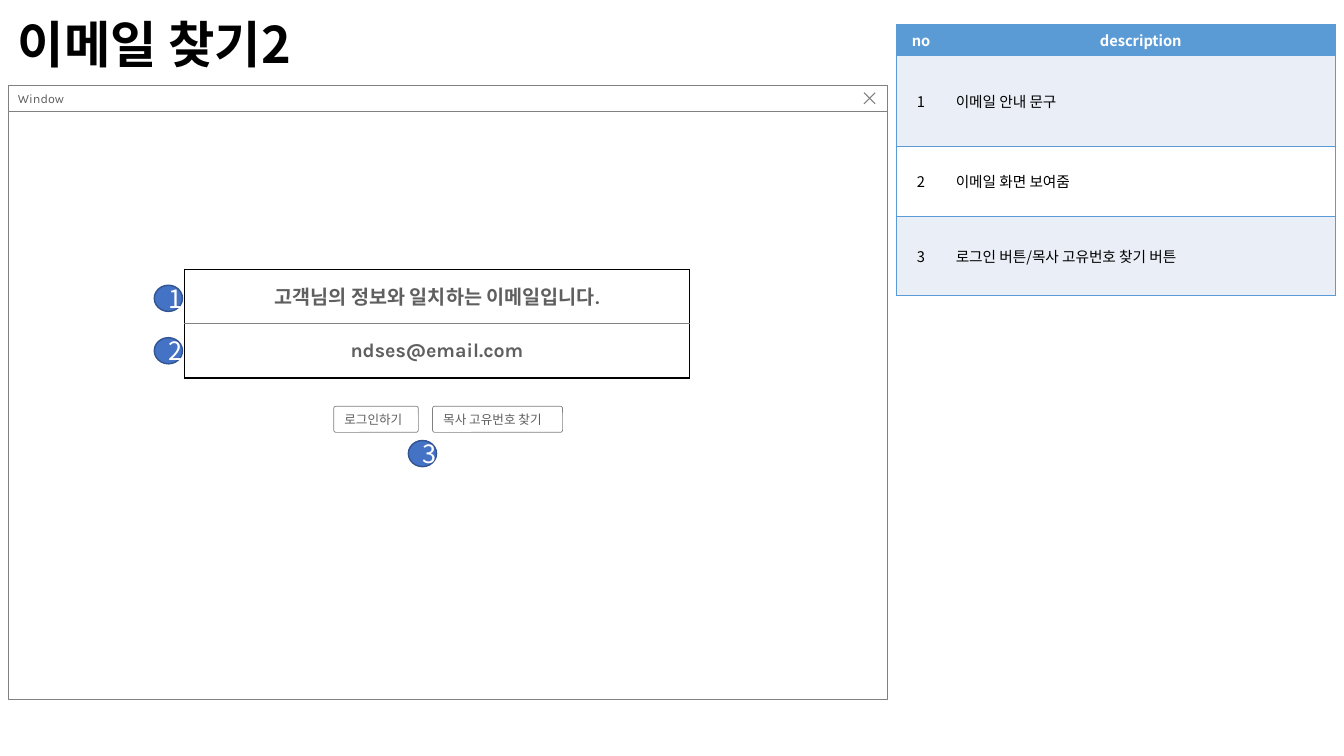
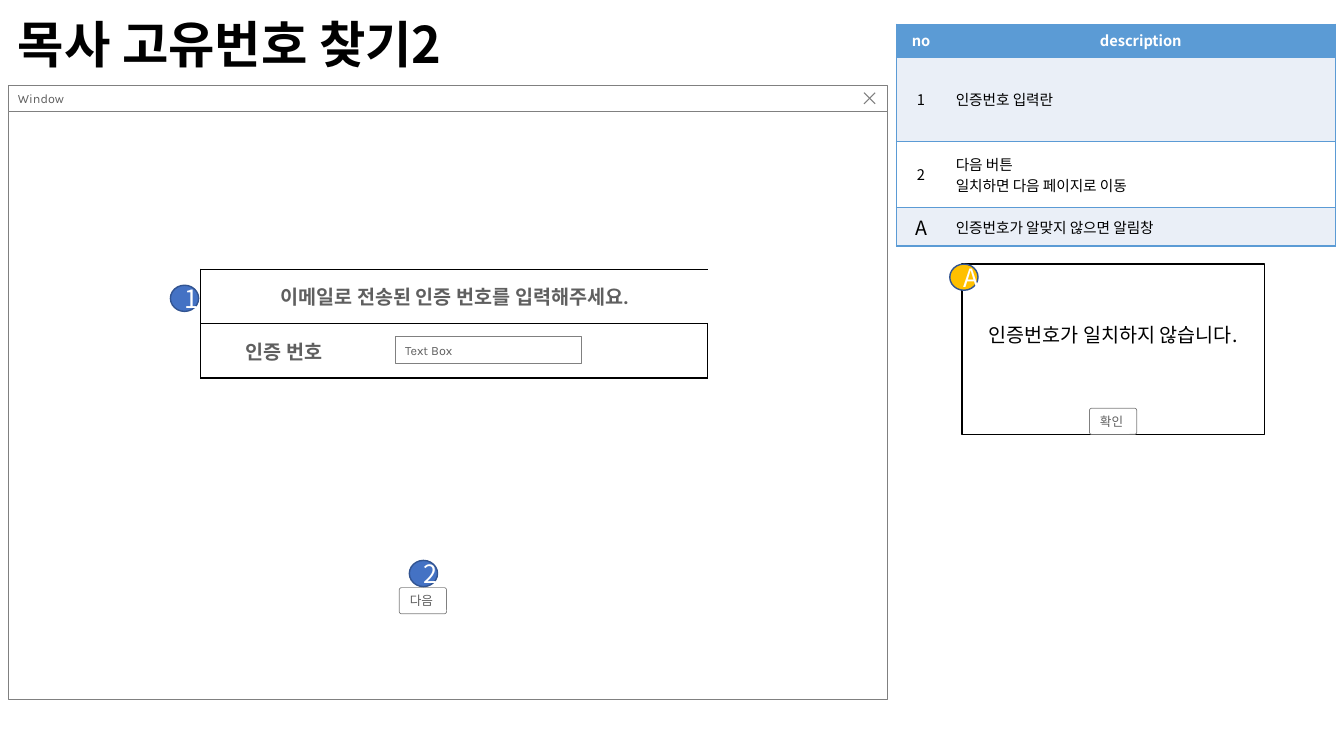
from lxml.etree import SubElement
from pptx import Presentation
from pptx.dml.color import RGBColor
from pptx.enum.shapes import MSO_CONNECTOR, MSO_SHAPE
from pptx.enum.text import MSO_ANCHOR, PP_ALIGN
from pptx.oxml import parse_xml
from pptx.oxml.ns import nsdecls, qn
from pptx.util import Inches, Pt

KOREAN, WIREFRAME = "Noto Sans CJK KR", "Karla"
BLACK, WHITE, INK, GREY = "000000", "FFFFFF", "5F5F5F", "808080"
HEADER, BAND = "5B9BD5", "EAEFF7"
BLUE, AMBER, BADGE_EDGE = "4472C4", "FFC000", "325491"
TITLE = (0.08, 0.1, 7.68, 0.73)
WINDOW = (0.08, 0.85, 8.72, 6.09)
DESCRIPTION = (8.89, 0.24)
BAR_HEIGHT = CONTROL_HEIGHT = 0.26
FORM_TOP, FORM_ROW = 2.67, 0.54


def color(hex_string):
    return RGBColor.from_string(hex_string)


def write(frame, text, size, ink, font=KOREAN, bold=False, align=PP_ALIGN.LEFT):
    for index, line in enumerate(text.split("\n")):
        paragraph = frame.paragraphs[0] if index == 0 else frame.add_paragraph()
        paragraph.alignment = align
        run = paragraph.add_run()
        run.text = line
        run.font.size = Pt(size)
        run.font.bold = bold
        run.font.name = font
        run.font.color.rgb = color(ink)
        SubElement(run.font._element, qn("a:ea")).set("typeface", KOREAN)


def add_box(shapes, box, kind=MSO_SHAPE.RECTANGLE, fill=WHITE, edge=GREY, weight=0.5,
            insets=(0.1, 0.05, 0.1, 0.05)):
    shape = shapes.add_shape(kind, *map(Inches, box))
    shape.shadow.inherit = False
    shape.fill.solid()
    shape.fill.fore_color.rgb = color(fill)
    shape.line.color.rgb = color(edge)
    shape.line.width = Pt(weight)
    frame = shape.text_frame
    frame.word_wrap = True
    frame.vertical_anchor = MSO_ANCHOR.MIDDLE
    frame.margin_left, frame.margin_top, frame.margin_right, frame.margin_bottom = map(Inches, insets)
    return shape


def add_line(shapes, start, end):
    line = shapes.add_connector(MSO_CONNECTOR.STRAIGHT, *map(Inches, start + end))
    line.line.color.rgb = color(GREY)
    line.line.width = Pt(0.75)
    SubElement(line._element.spPr, qn("a:effectLst"))


def add_title(slide, text):
    title = slide.shapes.add_textbox(*map(Inches, TITLE)).text_frame
    title.word_wrap = True
    title.vertical_anchor = MSO_ANCHOR.MIDDLE
    write(title, text, 36, BLACK, bold=True)
    title.paragraphs[0].line_spacing = 0.9


def add_window(slide, box):
    left, top, width, height = box
    parts = slide.shapes.add_group_shape().shapes
    add_box(parts, (left, top + BAR_HEIGHT, width, height - BAR_HEIGHT))
    bar = add_box(parts, (left, top, width, BAR_HEIGHT), insets=(0.1, 0.05, 0.25, 0.05))
    write(bar.text_frame, "Window", 9, INK, WIREFRAME)
    x1, x2 = left + width - 0.23, left + width - 0.12
    y1, y2 = top + 0.07, top + 0.18
    add_line(parts, (x1, y1), (x2, y2))
    add_line(parts, (x2, y1), (x1, y2))


def set_borders(cell, borders):
    properties = cell._tc.get_or_add_tcPr()
    for index, side in enumerate("LRTB"):
        if side in borders:
            hex_string, weight = borders[side]
            paint = f'<a:solidFill><a:srgbClr val="{hex_string}"/></a:solidFill>'
        else:
            weight, paint = 0, "<a:noFill/>"
        xml = f'<a:ln{side} {nsdecls("a")} w="{int(Pt(weight))}">{paint}</a:ln{side}>'
        properties.insert(index, parse_xml(xml))


def add_grid(slide, origin, widths, heights, fills, edge, divider):
    size = sum(widths), sum(heights)
    grid = slide.shapes.add_table(len(heights), len(widths), *map(Inches, origin + size)).table
    for column, width in zip(grid.columns, widths):
        column.width = Inches(width)
    for r, (row, height, fill) in enumerate(zip(grid.rows, heights, fills)):
        row.height = Inches(height)
        for c, cell in enumerate(row.cells):
            cell.fill.solid()
            cell.fill.fore_color.rgb = color(fill)
            cell.vertical_anchor = MSO_ANCHOR.MIDDLE
            borders = {"T": divider if r else edge,
                       "B": divider if r < len(heights) - 1 else edge}
            if c == 0:
                borders["L"] = edge
            if c == len(widths) - 1:
                borders["R"] = edge
            set_borders(cell, borders)
    return grid


def add_description(slide, origin, heights, entries):
    fills = [HEADER] + [BAND if i % 2 == 0 else WHITE for i in range(len(entries))]
    rule = (HEADER, 1)
    grid = add_grid(slide, origin, (0.49, 3.87), heights, fills, rule, rule)
    for c, heading in enumerate(("no", "description")):
        grid.cell(0, c).vertical_anchor = MSO_ANCHOR.TOP
        write(grid.cell(0, c).text_frame, heading, 10.5, WHITE, bold=True, align=PP_ALIGN.CENTER)
    for r, (mark, note) in enumerate(entries, 1):
        mark_size = 10.5 if mark.isdigit() else 14
        write(grid.cell(r, 0).text_frame, mark, mark_size, BLACK, align=PP_ALIGN.CENTER)
        write(grid.cell(r, 1).text_frame, note, 10.5, BLACK)


def add_form(slide, left, widths, message, answer, divider):
    grid = add_grid(slide, (left, FORM_TOP), widths, (FORM_ROW, FORM_ROW), (WHITE, WHITE),
                    (BLACK, 1), divider)
    if len(widths) > 1:
        grid.cell(0, 0).merge(grid.cell(0, len(widths) - 1))
    for r, text in enumerate((message, answer)):
        write(grid.cell(r, 0).text_frame, text, 14, INK, WIREFRAME, True, PP_ALIGN.CENTER)


def add_badge(slide, left, top, mark, fill=BLUE):
    badge = add_box(slide.shapes, (left, top, 0.28, 0.26), MSO_SHAPE.OVAL, fill, BADGE_EDGE, 1)
    write(badge.text_frame, mark, 18, WHITE, align=PP_ALIGN.CENTER)


def add_button(slide, left, top, width, label):
    button = add_box(slide.shapes, (left, top, width, CONTROL_HEIGHT),
                     MSO_SHAPE.ROUNDED_RECTANGLE, insets=(0.1, 0.02, 0.05, 0.02))
    button.adjustments[0] = 0.09
    write(button.text_frame, label, 9, INK, WIREFRAME)


def add_alert(slide, box):
    left, top, width, height = box
    alert = add_box(slide.shapes, box, edge=BLACK, weight=1, insets=(0.1, 0.05, 0.1, 0.33))
    write(alert.text_frame, "인증번호가 일치하지 않습니다.", 14, BLACK, align=PP_ALIGN.CENTER)
    button_width = 0.47
    add_button(slide, left + (width - button_width) / 2, top + height - CONTROL_HEIGHT,
               button_width, "확인")
    add_badge(slide, left - 0.12, top, "A", AMBER)


def start_screen(deck, title):
    slide = deck.slides.add_slide(deck.slide_layouts[6])
    add_title(slide, title)
    add_window(slide, WINDOW)
    return slide


def build_email_screen(deck):
    slide = start_screen(deck, "이메일 찾기2")
    add_description(slide, DESCRIPTION, (0.31, 0.9, 0.7, 0.78), (
        ("1", "이메일 안내 문구"),
        ("2", "이메일 화면 보여줌"),
        ("3", "로그인 버튼/목사 고유번호 찾기 버튼"),
    ))
    form_left = 1.83
    add_form(slide, form_left, (5.01,), "고객님의 정보와 일치하는 이메일입니다.",
             "ndses@email.com", (GREY, 0.5))
    for index, mark in enumerate("12"):
        add_badge(slide, form_left - 0.3, FORM_TOP + 0.16 + 0.52 * index, mark)
    add_button(slide, 3.31, 4.03, 0.84, "로그인하기")
    add_button(slide, 4.29, 4.03, 1.29, "목사 고유번호 찾기")
    add_badge(slide, 4.05, 4.37, "3")


def build_number_screen(deck):
    slide = start_screen(deck, "목사 고유번호 찾기2")
    add_description(slide, DESCRIPTION, (0.33, 0.83, 0.66, 0.38), (
        ("1", "인증번호 입력란"),
        ("2", "다음 버튼\n일치하면 다음 페이지로 이동"),
        ("A", "인증번호가 알맞지 않으면 알림창"),
    ))
    form_left = 1.99
    add_form(slide, form_left, (1.66, 3.37), "이메일로 전송된 인증 번호를 입력해주세요.",
             "인증 번호", (BLACK, 1))
    add_badge(slide, form_left - 0.3, FORM_TOP + 0.16, "1")
    code_field = add_box(slide.shapes, (3.92, 3.34, 1.85, 0.27), insets=(0.1, 0.06, 0.1, 0.06))
    write(code_field.text_frame, "Text Box", 9, INK, WIREFRAME)
    add_alert(slide, (9.54, 2.62, 3, 1.69))
    add_button(slide, 3.96, 5.83, 0.47, "다음")
    add_badge(slide, 4.06, 5.56, "2")


def main():
    deck = Presentation()
    deck.slide_width, deck.slide_height = Inches(13.33), Inches(7.5)
    build_email_screen(deck)
    build_number_screen(deck)
    deck.save("out.pptx")


if __name__ == "__main__":
    main()
